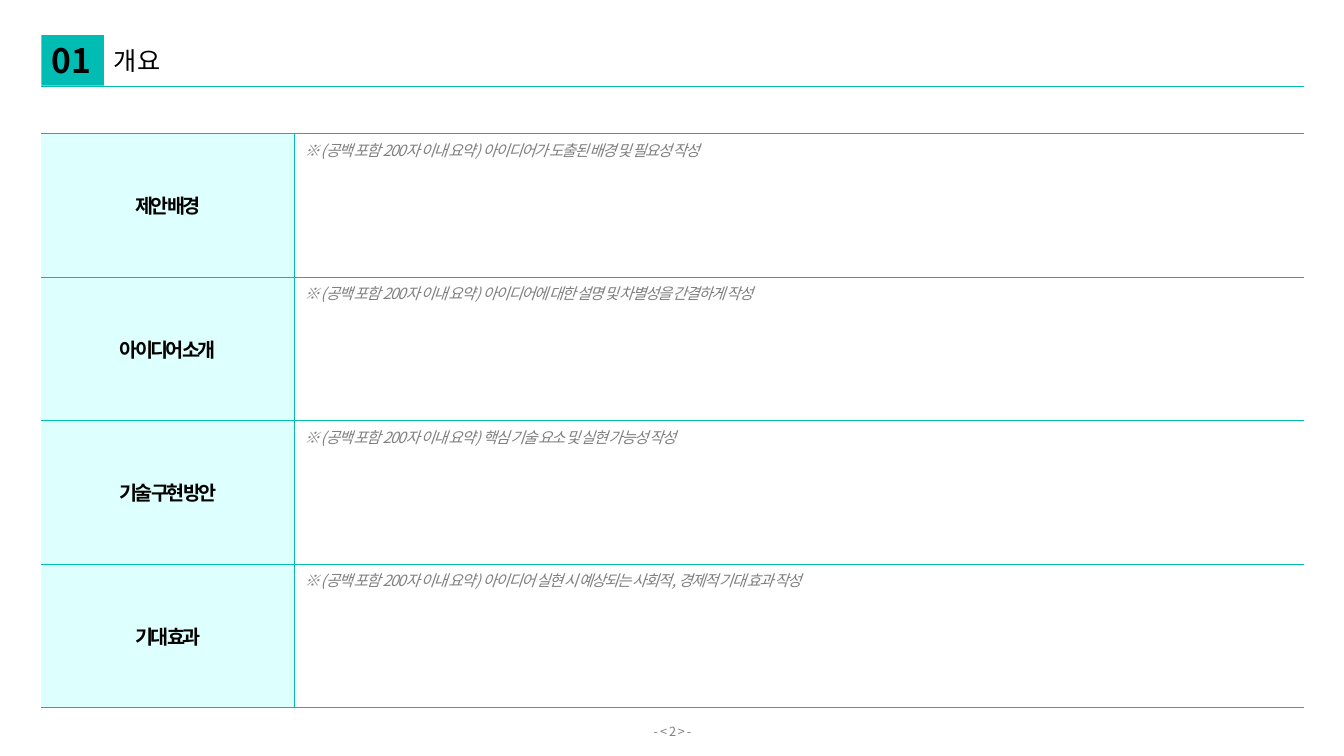
from dataclasses import dataclass

from lxml.etree import SubElement
from pptx import Presentation
from pptx.dml.color import RGBColor
from pptx.enum.shapes import MSO_CONNECTOR, MSO_SHAPE
from pptx.enum.text import MSO_ANCHOR, MSO_AUTO_SIZE, PP_ALIGN
from pptx.oxml import parse_xml
from pptx.oxml.ns import nsdecls, qn
from pptx.util import Inches, Pt

FONT = "Noto Sans CJK KR"
TEAL = "00BCB3"
PALE_TEAL = "DDFFFD"
GRAY = "808080"
BLACK = "000000"
LEFT, WIDTH = 0.41, 12.52
TABLE_TOP, TABLE_HEIGHT = 1.32, 5.7
LABEL_WIDTH = 2.51
GUIDE_PREFIX = "※ (공백 포함 200자 이내 요약) "


@dataclass(frozen=True)
class Section:
    label: str
    guide: str


SECTIONS = [
    Section("제안 배경", "아이디어가 도출된 배경 및 필요성 작성"),
    Section("아이디어 소개", "아이디어에 대한 설명 및 차별성을 간결하게 작성"),
    Section("기술 구현 방안", "핵심 기술 요소 및 실현 가능성 작성"),
    Section("기대 효과", "아이디어 실현 시 예상되는 사회적, 경제적 기대 효과 작성"),
]


def paint(target, color: str) -> None:
    if hasattr(target, "solid"):
        target.solid()
        target.fore_color.rgb = RGBColor.from_string(color)
    else:
        target.color.rgb = RGBColor.from_string(color)


def write(frame, text: str, *, size: float, color: str = BLACK, bold: bool = False,
          italic: bool = False, spacing: float = 0, align=PP_ALIGN.LEFT) -> None:
    paragraph = frame.paragraphs[0]
    paragraph.alignment = align
    run = paragraph.add_run()
    run.text = text
    font = run.font
    font.name, font.size = FONT, Pt(size)
    font.bold, font.italic = bold, italic
    paint(font, color)
    properties = run._r.get_or_add_rPr()
    SubElement(properties, qn("a:ea")).set("typeface", FONT)
    if spacing:
        properties.set("spc", str(round(spacing * 100)))


def fit_frame(frame, anchor=MSO_ANCHOR.TOP) -> None:
    frame.word_wrap = False
    frame.auto_size = MSO_AUTO_SIZE.SHAPE_TO_FIT_TEXT
    frame.vertical_anchor = anchor


def place(shape, left: float, top: float, width: float, height: float) -> None:
    shape.left, shape.top = Inches(left), Inches(top)
    shape.width, shape.height = Inches(width), Inches(height)


def set_borders(cell, drawn_sides: str) -> None:
    properties = cell._tc.get_or_add_tcPr()
    for position, side in enumerate("LRTB"):
        fill = (f'<a:solidFill><a:srgbClr val="{TEAL}"/></a:solidFill>'
                if side in drawn_sides else "<a:noFill/>")
        properties.insert(position, parse_xml(
            f'<a:ln{side} {nsdecls("a")} w="{int(Pt(0.25))}">{fill}</a:ln{side}>'))


def add_header(slide) -> None:
    rule = slide.shapes.add_connector(
        MSO_CONNECTOR.STRAIGHT, Inches(LEFT), Inches(0.86),
        Inches(LEFT + WIDTH), Inches(0.86))
    paint(rule.line, TEAL)
    rule.line.width = Pt(0.5)
    SubElement(rule._element.spPr, qn("a:effectLst"))

    number = slide.shapes.add_shape(
        MSO_SHAPE.RECTANGLE, Inches(LEFT), Inches(0.35), Inches(0.62), Inches(0.5))
    number.shadow.inherit = False
    paint(number.fill, TEAL)
    number.line.fill.background()
    fit_frame(number.text_frame)
    write(number.text_frame, "01", size=24, bold=True)

    heading = slide.shapes.title
    place(heading, 1.03, 0.4, 0.71, 0.4)
    fit_frame(heading.text_frame)
    write(heading.text_frame, "개요", size=18)


def add_overview(slide) -> None:
    overview = slide.shapes.add_table(
        len(SECTIONS), 2, Inches(LEFT), Inches(TABLE_TOP),
        Inches(WIDTH), Inches(TABLE_HEIGHT)).table
    overview.first_row = False
    overview.horz_banding = False
    overview.columns[0].width = Inches(LABEL_WIDTH)
    overview.columns[1].width = Inches(WIDTH - LABEL_WIDTH)

    for row, section in enumerate(SECTIONS):
        overview.rows[row].height = Inches(TABLE_HEIGHT / len(SECTIONS))
        label, guide = overview.cell(row, 0), overview.cell(row, 1)
        label.margin_left = label.margin_right = Inches(0)
        label.margin_top = label.margin_bottom = Inches(0)
        label.vertical_anchor = MSO_ANCHOR.MIDDLE
        paint(label.fill, PALE_TEAL)
        guide.fill.background()
        set_borders(label, "RTB")
        set_borders(guide, "LTB")
        write(label.text_frame, section.label, size=14, bold=True,
              spacing=-2, align=PP_ALIGN.CENTER)
        write(guide.text_frame, GUIDE_PREFIX + section.guide, size=11,
              color=GRAY, italic=True, spacing=-1)


def add_page_number(slide) -> None:
    page = slide.shapes.add_textbox(
        Inches(6.3), Inches(7.13), Inches(0.74), Inches(0.25))
    fit_frame(page.text_frame, MSO_ANCHOR.MIDDLE)
    write(page.text_frame, "- < 2 > -", size=9, color=GRAY,
          spacing=-0.3, align=PP_ALIGN.CENTER)


def main() -> None:
    presentation = Presentation()
    presentation.slide_width = Inches(13.33)
    presentation.slide_height = Inches(7.5)
    slide = presentation.slides.add_slide(presentation.slide_layouts[5])
    add_page_number(slide)
    add_header(slide)
    add_overview(slide)
    presentation.save("out.pptx")


if __name__ == "__main__":
    main()
